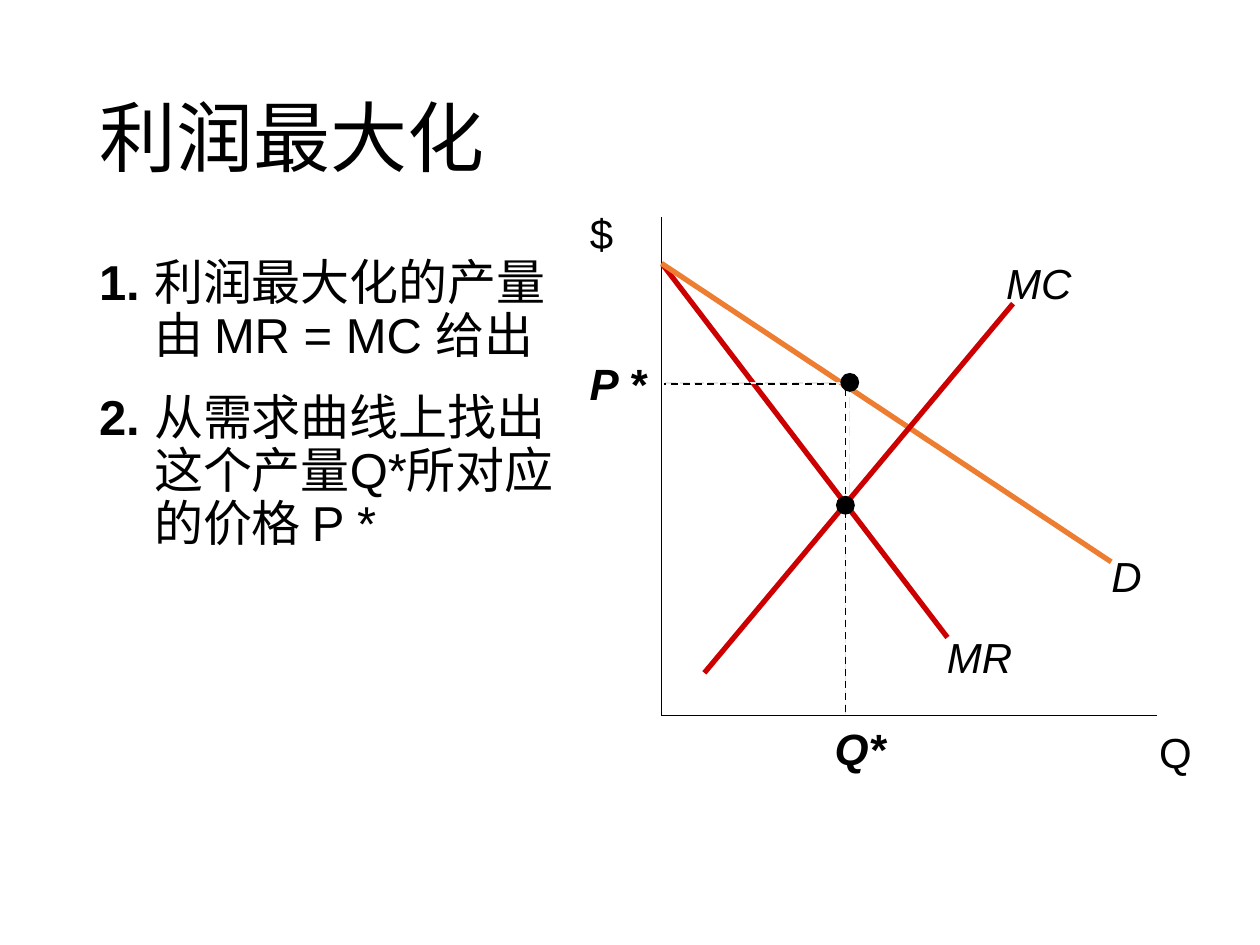
from dataclasses import dataclass

from lxml.etree import SubElement
from pptx import Presentation
from pptx.dml.color import RGBColor
from pptx.enum.dml import MSO_LINE_DASH_STYLE as Dash
from pptx.enum.shapes import MSO_CONNECTOR as Connector, MSO_SHAPE as Shape
from pptx.enum.text import MSO_ANCHOR as Anchor, PP_ALIGN as Align
from pptx.oxml.ns import qn
from pptx.util import Pt


@dataclass(frozen=True)
class Theme:
    """Colours, fonts and type sizes of the slide."""
    ink: RGBColor = RGBColor(0, 0, 0)
    cost: RGBColor = RGBColor(0xCC, 0, 0)
    demand: RGBColor = RGBColor(0xED, 0x7D, 0x31)
    pale: RGBColor = RGBColor(0xE7, 0xE6, 0xE6)
    title_font: str = "Calibri"
    font: str = "Arial"
    title: int = 44
    body: int = 28
    label: int = 24
    optimum: int = 25


THEME = Theme()
STEPS = ["利润最大化的产量由 MR = MC 给出", "从需求曲线上找出这个产量Q*所对应的价格 P *"]
ORIGIN = (378, 409)
PRICE_TOP = (378, 124)
QUANTITY_END = (661, 409)
CURVES = [
    ("MR", (378.7, 151.2), (541.4, 364.3), THEME.cost, (536.4, 360.7, 46.8)),
    ("D", (378, 150.5), (635, 321.1), THEME.demand, (626.4, 314.6, 34.6)),
    ("MC", (402.5, 384.5), (578.9, 173.5), THEME.cost, (570.2, 146.9, 46.8)),
]
PALE_GUIDES = [
    ((380.2, 218.9), (485.3, 218.9)),
    ((485.3, 218.9), (485.3, 288.7)),
    ((483.1, 288.7), (483.1, 409)),
]
GUIDES = [((483.1, 222.5), (483.1, 409)), ((484.6, 219.4), (379.4, 219.4))]
DOTS = [(485.6, 218.5), (483.1, 288.7)]


def style_font(font, size, name=THEME.font, bold=False, italic=False):
    """Set the face, size, colour and style of a font."""
    font.name, font.size, font.bold, font.italic = name, Pt(size), bold, italic
    font.color.rgb = THEME.ink


def set_title(slide, text):
    """Place and format the title placeholder."""
    title = slide.shapes.title
    title.left, title.top, title.width, title.height = Pt(49.5), Pt(28.8), Pt(621), Pt(104.4)
    title.text_frame.text = text
    title.text_frame.vertical_anchor = Anchor.MIDDLE
    paragraph = title.text_frame.paragraphs[0]
    paragraph.alignment = Align.LEFT
    paragraph.line_spacing = 0.9
    style_font(paragraph.font, THEME.title, THEME.title_font)


def add_steps(slide, steps):
    """Add the numbered steps with a hanging indent."""
    frame = slide.shapes.add_textbox(Pt(49.5), Pt(144), Pt(281.5), Pt(342.7)).text_frame
    frame.word_wrap = True
    for number, step in enumerate(steps, 1):
        paragraph = frame.paragraphs[0] if number == 1 else frame.add_paragraph()
        paragraph.line_spacing = 0.9
        paragraph.space_before = Pt(16.8)
        properties = paragraph._p.get_or_add_pPr()
        properties.set("marL", str(Pt(31.5)))
        properties.set("indent", str(-Pt(31.5)))
        for text, bold in ((f"{number}.\t", True), (step, False)):
            run = paragraph.add_run()
            run.text = text
            style_font(run.font, THEME.body, bold=bold)


def add_line(slide, start, end, color=THEME.ink, width=0.75, dash=None):
    """Draw a straight line between two points."""
    points = [Pt(value) for value in (*start, *end)]
    connector = slide.shapes.add_connector(Connector.STRAIGHT, *points)
    connector.line.color.rgb = color
    connector.line.width = Pt(width)
    if dash:
        connector.line.dash_style = dash
    SubElement(connector._element.spPr, qn("a:effectLst"))


def add_label(slide, text, place, size=THEME.label, align=Align.CENTER, **style):
    """Add a one-line label at a left, top and width."""
    left, top, width = place
    frame = slide.shapes.add_textbox(Pt(left), Pt(top), Pt(width), Pt(28.8)).text_frame
    frame.margin_left = frame.margin_right = frame.margin_top = frame.margin_bottom = 0
    frame.word_wrap = True
    paragraph = frame.paragraphs[0]
    paragraph.text = text
    paragraph.alignment = align
    style_font(paragraph.font, size, **style)


def add_dot(slide, center, size=10.8):
    """Mark a point with a filled circle."""
    left, top = (Pt(value - size / 2) for value in center)
    dot = slide.shapes.add_shape(Shape.OVAL, left, top, Pt(size), Pt(size))
    dot.shadow.inherit = False
    dot.fill.solid()
    dot.fill.fore_color.rgb = THEME.ink
    dot.line.fill.background()


def add_diagram(slide):
    """Draw the axes, curves, guides and optimum."""
    for end in (PRICE_TOP, QUANTITY_END):
        add_line(slide, ORIGIN, end)
    add_label(slide, "Q", (583.2, 415.4, 97.9), align=Align.RIGHT)
    add_label(slide, "$", (311, 118.8, 65.5))
    for name, start, end, color, place in CURVES:
        add_line(slide, start, end, color, 3)
        add_label(slide, name, place, italic=True)
    for start, end in PALE_GUIDES:
        add_line(slide, start, end, THEME.pale, dash=Dash.LONG_DASH)
    for center in DOTS:
        add_dot(slide, center)
    for text, place in (("P *", (329, 203.8, 48.2)), ("Q*", (463, 412.6, 56.9))):
        add_label(slide, text, place, THEME.optimum, bold=True, italic=True)
    for start, end in GUIDES:
        add_line(slide, start, end, width=1, dash=Dash.DASH)


def main():
    """Build and save the slide."""
    presentation = Presentation()
    presentation.slide_width, presentation.slide_height = Pt(720), Pt(540)
    slide = presentation.slides.add_slide(presentation.slide_layouts[5])
    set_title(slide, "利润最大化")
    add_steps(slide, STEPS)
    add_diagram(slide)
    presentation.save("out.pptx")


if __name__ == "__main__":
    main()
